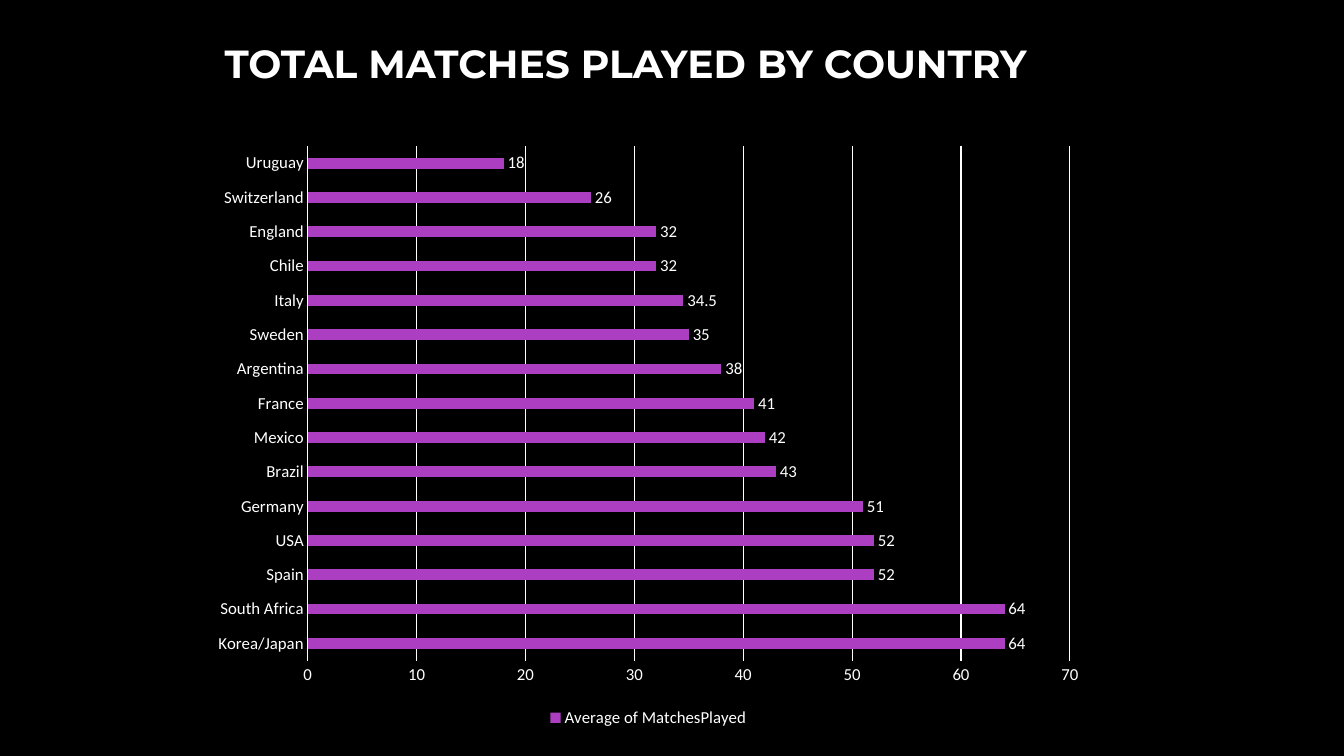
from lxml import etree
from pptx import Presentation
from pptx.chart import data
from pptx.dml.color import RGBColor
from pptx.enum import chart as charts, text
from pptx.util import Cm, Pt

BLACK = RGBColor(0x00, 0x00, 0x00)
WHITE = RGBColor(0xFF, 0xFF, 0xFF)
PURPLE = RGBColor(0xAC, 0x3E, 0xC1)

MATCHES = {
    "Korea/Japan": 64,
    "South Africa": 64,
    "Spain": 52,
    "USA": 52,
    "Germany": 51,
    "Brazil": 43,
    "Mexico": 42,
    "France": 41,
    "Argentina": 38,
    "Sweden": 35,
    "Italy": 34.5,
    "Chile": 32,
    "England": 32,
    "Switzerland": 26,
    "Uruguay": 18,
}


def style_font(font, name, size, bold=False):
    """Set a white font of the given name and size."""
    font.name = name
    font.size = Pt(size)
    font.bold = bold
    font.color.rgb = WHITE


def style_line(line):
    """Draw a thin white line."""
    line.color.rgb = WHITE
    line.width = Pt(0.75)


def add_title(slide, wording):
    """Add the heading above the chart."""
    shape = slide.shapes.add_textbox(Cm(5.41), Cm(0.86), Cm(24.28), Cm(1.45))
    frame = shape.text_frame
    frame.word_wrap = True
    frame.auto_size = text.MSO_AUTO_SIZE.SHAPE_TO_FIT_TEXT
    paragraph = frame.paragraphs[0]
    paragraph.text = wording
    style_font(paragraph.font, "Montserrat", 28, bold=True)


def style_axes(chart):
    """Format the country axis and the match count axis."""
    for axis in (chart.category_axis, chart.value_axis):
        axis.major_tick_mark = charts.XL_TICK_MARK.NONE
        axis.minor_tick_mark = charts.XL_TICK_MARK.NONE
        style_font(axis.tick_labels.font, "Calibri", 12)
    style_line(chart.category_axis.format.line)
    scale = chart.value_axis
    scale.minimum_scale, scale.maximum_scale, scale.major_unit = 0, 70, 10
    scale.format.line.fill.background()
    scale.has_major_gridlines = True
    style_line(scale.major_gridlines.format.line)


def style_bars(plot):
    """Colour the bars and label each one with its value."""
    plot.gap_width = 219
    plot.vary_by_categories = False
    series = plot.series[0]
    series.format.fill.solid()
    series.format.fill.fore_color.rgb = PURPLE
    labels = series.data_labels
    labels.show_value = True
    labels.position = charts.XL_LABEL_POSITION.OUTSIDE_END
    style_font(labels.font, "Calibri", 12)


def add_matches_chart(slide):
    """Add the bar chart of matches by country."""
    chart_data = data.CategoryChartData()
    chart_data.categories = list(MATCHES)
    chart_data.add_series("Average of MatchesPlayed", list(MATCHES.values()))
    chart = slide.shapes.add_chart(
        charts.XL_CHART_TYPE.BAR_CLUSTERED,
        Cm(5.05), Cm(3.38), Cm(22.58), Cm(15.06), chart_data,
    ).chart
    style_font(chart.font, "Calibri", 10)
    chart.has_title = False
    chart.has_legend = True
    chart.legend.position = charts.XL_LEGEND_POSITION.BOTTOM
    chart.legend.include_in_layout = False
    style_font(chart.legend.font, "Calibri", 12)
    style_axes(chart)
    style_bars(chart.plots[0])


def main():
    """Build the slide and save it."""
    presentation = Presentation()
    presentation.slide_width = Cm(33.87)
    presentation.slide_height = Cm(19.05)
    slide = presentation.slides.add_slide(presentation.slide_layouts[6])
    slide.background.fill.solid()
    slide.background.fill.fore_color.rgb = BLACK
    add_matches_chart(slide)
    add_title(slide, "TOTAL MATCHES PLAYED BY COUNTRY")
    presentation.save("out.pptx")


if __name__ == "__main__":
    main()
